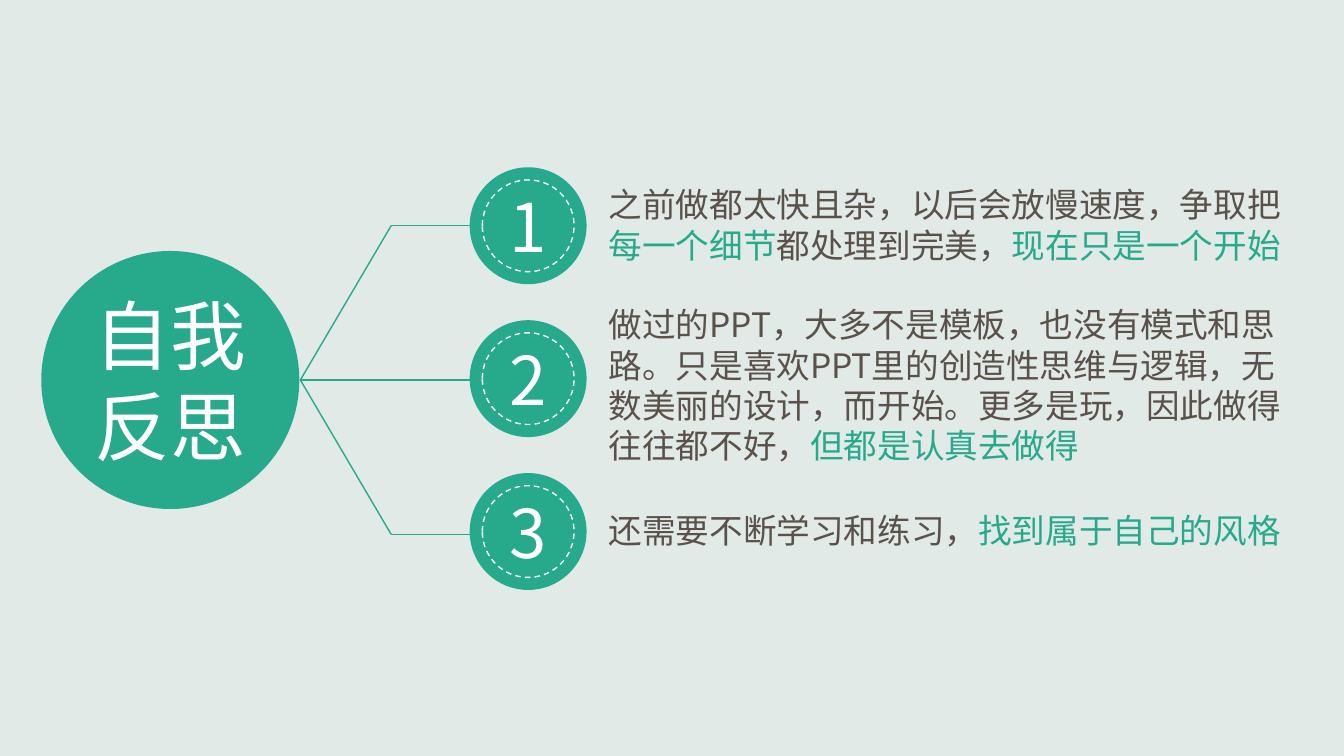
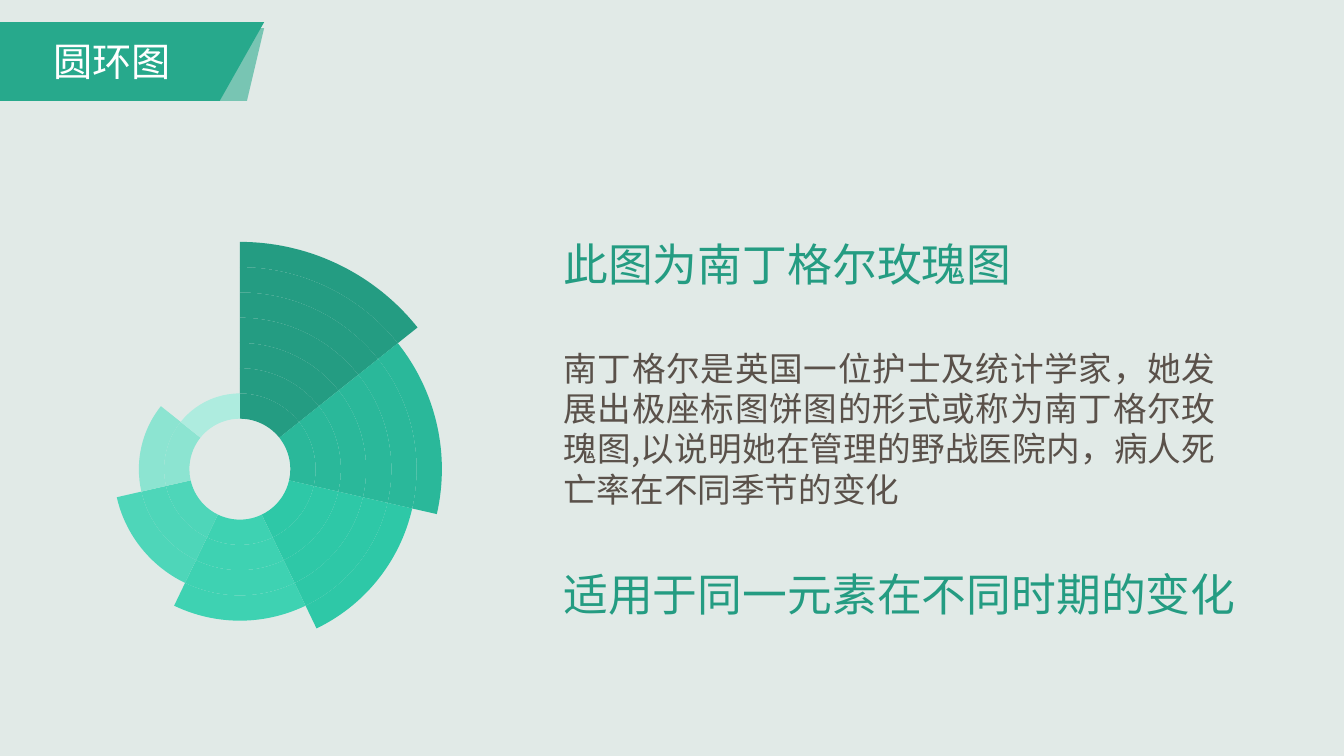
from lxml import etree
from pptx import Presentation
from pptx.chart.data import CategoryChartData
from pptx.dml.color import RGBColor
from pptx.enum.chart import XL_CHART_TYPE
from pptx.enum.dml import MSO_LINE
from pptx.enum.shapes import MSO_CONNECTOR, MSO_SHAPE
from pptx.enum.text import MSO_ANCHOR, MSO_AUTO_SIZE, PP_ALIGN
from pptx.oxml.ns import qn
from pptx.util import Inches, Pt

OVAL = MSO_SHAPE.OVAL
STRAIGHT = MSO_CONNECTOR.STRAIGHT
DOUGHNUT = XL_CHART_TYPE.DOUGHNUT
DASH = MSO_LINE.DASH
MIDDLE = MSO_ANCHOR.MIDDLE
FIXED = MSO_AUTO_SIZE.NONE
LEFT, CENTER, JUSTIFY = PP_ALIGN.LEFT, PP_ALIGN.CENTER, PP_ALIGN.JUSTIFY

COLUMNS, ROWS = 40, 22.5
FONT = "Noto Sans CJK JP"
PAPER, WHITE, INK = "E1EAE7", "FFFFFF", "5A514A"
GREEN, DEEP_GREEN = "27A98C", "249C82"
PETALS = [DEEP_GREEN, "2AB89A", "2EC8A7", "3ED2B2", "4ED6B9", "8CE4D1", "AEECDF"]


def rgb(value):
    return RGBColor.from_string(value)


def cells(count):
    return Inches(count / 3)


class Deck:
    def __init__(self):
        self.prs = Presentation()
        self.prs.slide_width = cells(COLUMNS)
        self.prs.slide_height = cells(ROWS)
        self.paint(self.prs.slide_master.background.fill, PAPER)
        self.slide = None

    def new_slide(self):
        self.slide = self.prs.slides.add_slide(self.prs.slide_layouts[5])

    def paint(self, fill, color, opacity=100):
        if color is None:
            fill.background()
            return
        fill.solid()
        fill.fore_color.rgb = rgb(color)
        if opacity < 100:
            tint = fill._xPr.find(qn("a:solidFill"))[0]
            etree.SubElement(tint, qn("a:alpha"), val=str(opacity * 1000))

    def style(self, paragraph, size, color, align):
        paragraph.alignment = align
        font = paragraph.font
        font.name = FONT
        etree.SubElement(font._element, qn("a:ea"), typeface=FONT)
        font.size = Pt(size)
        font.color.rgb = rgb(color)

    def title(self, text, x, y, width, height, size):
        title = self.slide.shapes.title
        title.left, title.top = cells(x), cells(y)
        title.width, title.height = cells(width), cells(height)
        frame = title.text_frame
        frame.text = text
        frame.auto_size = FIXED
        frame.vertical_anchor = MIDDLE
        for paragraph in frame.paragraphs:
            self.style(paragraph, size, WHITE, CENTER)
        self.slide.shapes._spTree.append(title._element)

    def circle(self, x, y, diameter, fill=None, dashes=None, text="", size=48):
        corner = cells(x - diameter / 2), cells(y - diameter / 2)
        circle = self.slide.shapes.add_shape(OVAL, *corner, cells(diameter), cells(diameter))
        circle.shadow.inherit = False
        self.paint(circle.fill, fill)
        self.paint(circle.line.fill, dashes)
        if dashes:
            circle.line.width = Pt(1)
            circle.line.dash_style = DASH
        if text:
            circle.text_frame.text = text
            circle.text_frame.vertical_anchor = MIDDLE
            self.style(circle.text_frame.paragraphs[0], size, WHITE, CENTER)

    def line(self, *ends):
        line = self.slide.shapes.add_connector(STRAIGHT, *map(cells, ends))
        line.line.color.rgb = rgb(GREEN)
        line.line.width = Pt(1)
        etree.SubElement(line._element.spPr, qn("a:effectLst"))

    def outline(self, points, opacity=100):
        start, *rest = [(cells(x), cells(y)) for x, y in points]
        builder = self.slide.shapes.build_freeform(*start)
        builder.add_line_segments(rest, close=True)
        outline = builder.convert_to_shape()
        outline.shadow.inherit = False
        self.paint(outline.fill, GREEN, opacity)
        self.paint(outline.line.fill, None)

    def text(self, lines, x, y, width, height, size=24, color=INK, align=LEFT):
        box = self.slide.shapes.add_textbox(cells(x), cells(y), cells(width), cells(height))
        frame = box.text_frame
        frame.word_wrap = True
        for index, parts in enumerate(lines):
            paragraph = frame.add_paragraph() if index else frame.paragraphs[0]
            self.style(paragraph, size, color, align)
            for words, accent in parts:
                run = paragraph.add_run()
                run.text = words
                if accent:
                    run.font.color.rgb = rgb(GREEN)

    def rose(self, x, y, width, height, rings, value):
        data = CategoryChartData()
        data.categories = [str(number + 1) for number in range(len(PETALS))]
        for ring in range(rings):
            data.add_series(f"Series {ring + 1}", [value] * len(PETALS))
        chart = self.slide.shapes.add_chart(
            DOUGHNUT, cells(x), cells(y), cells(width), cells(height), data).chart
        chart.has_title = False
        chart.has_legend = False
        chart.font.name = "Calibri"
        chart.font.size = Pt(10)
        chart.font.color.rgb = rgb("000000")
        plot = chart.plots[0]
        plot.vary_by_categories = True
        plot._element.find(qn("c:holeSize")).set("val", "1")
        for ring, series in enumerate(plot.series):
            for petal, color in enumerate(PETALS):
                visible = 1 <= ring <= len(PETALS) - petal
                part = series.points[petal].format
                self.paint(part.fill, color if visible else None)
                self.paint(part.line.fill, None)


def reflection(deck):
    deck.new_slide()
    hub_x, hub_y, hub_size = 5.07, 11.31, 7.68
    fork_x, elbow_x, arm_end = 8.94, 11.64, 14.4
    badge_x, first_y, badge_gap, arm_gap = 15.72, 6.72, 4.55, 4.59
    lessons = [
        (5.34, 2.73, [
            [("之前做都太快且杂，以后会放慢速度，争取把", False)],
            [("每一个细节", True), ("都处理到完美，", False), ("现在只是一个开始", True)],
        ]),
        (8.91, 5.16, [
            [("做过的PPT，大多不是模板，也没有模式和思", False)],
            [("路。只是喜欢PPT里的创造性思维与逻辑，无", False)],
            [("数美丽的设计，而开始。更多是玩，因此做得", False)],
            [("往往都不好，", False), ("但都是认真去做得", True)],
        ]),
        (15.03, 1.5, [
            [("还需要不断学习和练习，", False), ("找到属于自己的风格", True)],
        ]),
    ]
    deck.circle(hub_x, hub_y, hub_size, fill=GREEN)
    deck.title("自我\n反思", hub_x - hub_size / 2, hub_y - hub_size / 2, hub_size, hub_size, 54)
    for index, (top, height, lines) in enumerate(lessons):
        arm_y = first_y + index * arm_gap
        badge_y = first_y + index * badge_gap
        deck.line(fork_x, hub_y, elbow_x, arm_y)
        deck.line(elbow_x, arm_y, arm_end, arm_y)
        deck.circle(badge_x, badge_y, 3.48, fill=GREEN, text=str(index + 1))
        deck.circle(badge_x, badge_y, 2.73, dashes=WHITE)
        deck.text(lines, 17.82, top, 21.6, height)


def rose_chart(deck):
    deck.new_slide()
    deck.outline([(0, 0.84), (7.86, 0.84), (7.35, 3), (0, 3)], opacity=56)
    deck.outline([(0, 0.66), (7.86, 0.66), (6.54, 3), (0, 3)])
    deck.title("圆环图", 0, 0.96, 6.66, 1.71, 28)
    deck.rose(-7.8, 3.78, 29.88, 20.37, rings=12, value=14)
    text_x = 16.47
    deck.text([[("此图为南丁格尔玫瑰图", False)]], text_x, 6.9, 18.72, 1.92, 32, DEEP_GREEN)
    story = ("南丁格尔是英国一位护士及统计学家，她发展出极座标图饼图的形式或称为南丁格尔玫瑰图,"
             "以说明她在管理的野战医院内，病人死亡率在不同季节的变化")
    deck.text([[(story, False)]], text_x, 10.2, 20.01, 5.16, align=JUSTIFY)
    deck.text([[("适用于同一元素在不同时期的变化", False)]],
              text_x, 16.71, 22.8, 1.92, 32, DEEP_GREEN)


def main():
    deck = Deck()
    reflection(deck)
    rose_chart(deck)
    deck.prs.save("out.pptx")


if __name__ == "__main__":
    main()
